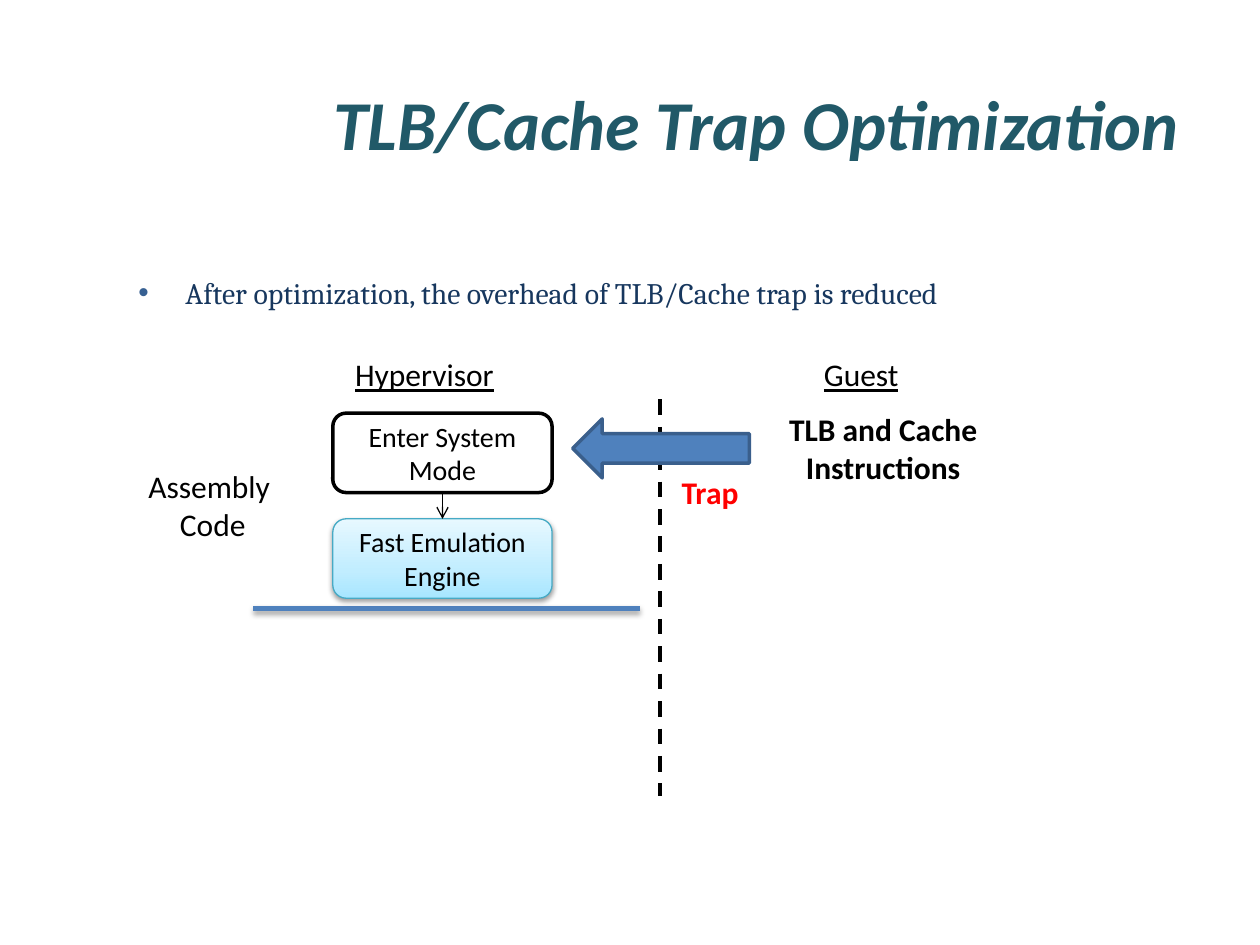
"""Builds the TLB/Cache trap optimization slide."""
from copy import deepcopy

from pptx import Presentation
from pptx.dml.color import RGBColor
from pptx.enum.dml import MSO_LINE
from pptx.enum.shapes import MSO_CONNECTOR, MSO_SHAPE
from pptx.enum.text import MSO_ANCHOR, MSO_AUTO_SIZE, PP_ALIGN
from pptx.oxml import parse_xml
from pptx.oxml.ns import nsdecls, qn
from pptx.util import Cm, Pt

COLORS = {
    "black": "000000", "white": "FFFFFF", "red": "FF0000", "blue": "4F81BD",
    "edge": "3A5F8C", "aqua": "46AAC5", "title": "215968", "body": "17375E",
    "bullet": "376092",
}
ENGINE_STOPS = ((0, "A7E6FF"), (0.35, "C1EDFF"), (1, "E7F8FF"))


def rgb(name):
    return RGBColor.from_string(COLORS[name])


def write(tf, text, size=18, color="black", font="Calibri", align=PP_ALIGN.CENTER,
          bold=False, italic=False, underline=False, bullet=None):
    for i, line in enumerate(text.split("\n")):
        p = tf.paragraphs[0] if i == 0 else tf.add_paragraph()
        p.alignment = align
        if bullet:
            pPr = p._p.get_or_add_pPr()
            pPr.set("marL", str(Cm(0.95)))
            pPr.set("indent", str(-Cm(0.95)))
            pPr.append(parse_xml(f'<a:buClr {nsdecls("a")}><a:srgbClr val="{COLORS["bullet"]}"/></a:buClr>'))
            pPr.append(parse_xml(f'<a:buFont {nsdecls("a")} typeface="Arial"/>'))
            pPr.append(parse_xml(f'<a:buChar {nsdecls("a")} char="{bullet}"/>'))
        r = p.add_run()
        r.text = line
        r.font.name, r.font.size = font, Pt(size)
        r.font.bold, r.font.italic, r.font.underline = bold, italic, underline
        r.font.color.rgb = rgb(color)


def set_shadow(sp, alpha, dist):
    spPr = sp._element.spPr
    for old in spPr.findall(qn("a:effectLst")):
        spPr.remove(old)
    spPr.append(parse_xml(
        f'<a:effectLst {nsdecls("a")}><a:outerShdw blurRad="{Pt(3.1)}" dist="{Pt(dist)}" '
        f'dir="5400000" rotWithShape="0"><a:srgbClr val="000000">'
        f'<a:alpha val="{alpha * 1000}"/></a:srgbClr></a:outerShdw></a:effectLst>'))


class Deck:
    def __init__(self):
        self.prs = Presentation()
        self.prs.slide_width, self.prs.slide_height = Cm(25.4), Cm(19.05)
        self.s = self.prs.slides.add_slide(self.prs.slide_layouts[5])

    def title(self, text, x, y, w, h):
        sp = self.s.shapes.title
        sp.left, sp.top, sp.width, sp.height = Cm(x), Cm(y), Cm(w), Cm(h)
        sp.text_frame.vertical_anchor = MSO_ANCHOR.MIDDLE
        write(sp.text_frame, text, size=40, color="title", align=PP_ALIGN.RIGHT,
              bold=True, italic=True)

    def text(self, text, x, y, w, h, wrap=False, **fmt):
        sp = self.s.shapes.add_textbox(Cm(x), Cm(y), Cm(w), Cm(h))
        tf = sp.text_frame
        tf.word_wrap = wrap
        tf.auto_size = MSO_AUTO_SIZE.NONE if wrap else MSO_AUTO_SIZE.SHAPE_TO_FIT_TEXT
        write(tf, text, **fmt)

    def shape(self, kind, x, y, w, h, fill, line, width, text=None):
        sp = self.s.shapes.add_shape(kind, Cm(x), Cm(y), Cm(w), Cm(h))
        sp.shadow.inherit = False
        sp.fill.solid()
        sp.fill.fore_color.rgb = rgb(fill)
        sp.line.color.rgb, sp.line.width = rgb(line), Pt(width)
        if text:
            sp.text_frame.word_wrap = True
            sp.text_frame.vertical_anchor = MSO_ANCHOR.MIDDLE
            write(sp.text_frame, text, size=16)
        return sp

    def gradient(self, sp, stops, angle):
        sp.fill.gradient()
        sp.fill.gradient_angle = angle
        gs_list = sp._element.spPr.find(qn("a:gradFill")).find(qn("a:gsLst"))
        while len(gs_list) < len(stops):
            gs_list.append(deepcopy(gs_list[0]))
        for stop, (position, color) in zip(sp.fill.gradient_stops, stops):
            stop.position = position
            stop.color.rgb = RGBColor.from_string(color)

    def line(self, x1, y1, x2, y2, color, width, dash=None, arrow=False):
        cn = self.s.shapes.add_connector(MSO_CONNECTOR.STRAIGHT, Cm(x1), Cm(y1), Cm(x2), Cm(y2))
        cn.line.color.rgb, cn.line.width = rgb(color), Pt(width)
        if dash:
            cn.line.dash_style = dash
        if arrow:
            cn.line._get_or_add_ln().append(parse_xml(f'<a:tailEnd {nsdecls("a")} type="arrow"/>'))
        cn._element.spPr.append(parse_xml(f'<a:effectLst {nsdecls("a")}/>'))
        return cn


def main():
    deck = Deck()
    deck.title("TLB/Cache Trap Optimization ", 1.47, 1.27, 22.86, 2.41)

    base = deck.line(5.11, 12.27, 12.9, 12.27, "blue", 3)
    set_shadow(base, 35, 1.8)
    deck.text("TLB and Cache\nInstructions", 15.29, 8.15, 5.03, 1.8, bold=True)
    deck.line(13.31, 8.05, 13.31, 16.05, "black", 2.25, dash=MSO_LINE.DASH)
    for text, x, w in (("Hypervisor", 6.91, 3.81), ("Guest", 16.36, 2.26)):
        deck.text(text, x, 7.04, w, 1.02, align=PP_ALIGN.LEFT, underline=True)

    trap = deck.shape(MSO_SHAPE.DOWN_ARROW, 12.73, 7.26, 1.19, 3.56, "blue", "edge", 2)
    trap.rotation = 90
    deck.text("Trap", 13.49, 9.42, 1.65, 1.02, color="red", align=PP_ALIGN.LEFT, bold=True)

    x, y, w, h, step = 6.71, 8.33, 4.42, 1.6, 2.13
    enter = deck.shape(MSO_SHAPE.ROUNDED_RECTANGLE, x, y, w, h, "white", "black", 2,
                       "Enter System Mode")
    engine = deck.shape(MSO_SHAPE.ROUNDED_RECTANGLE, x, y + step, w, h, "white", "aqua", 0.75,
                        "Fast Emulation\nEngine")
    deck.gradient(engine, ENGINE_STOPS, 90)
    set_shadow(engine, 38, 1.6)
    link = deck.line(x + w / 2, y + h, x + w / 2, y + step, "black", 0.75, arrow=True)
    link.begin_connect(enter, 2)
    link.end_connect(engine, 0)

    deck.text("After optimization, the overhead of TLB/Cache trap is reduced",
              2.54, 5.41, 17.83, 1.19, wrap=True, size=17, color="body", font="Cambria",
              align=PP_ALIGN.LEFT, bullet="•")
    deck.text("Assembly \nCode", 2.74, 9.3, 3.1, 1.8)
    deck.prs.save("out.pptx")


if __name__ == "__main__":
    main()
